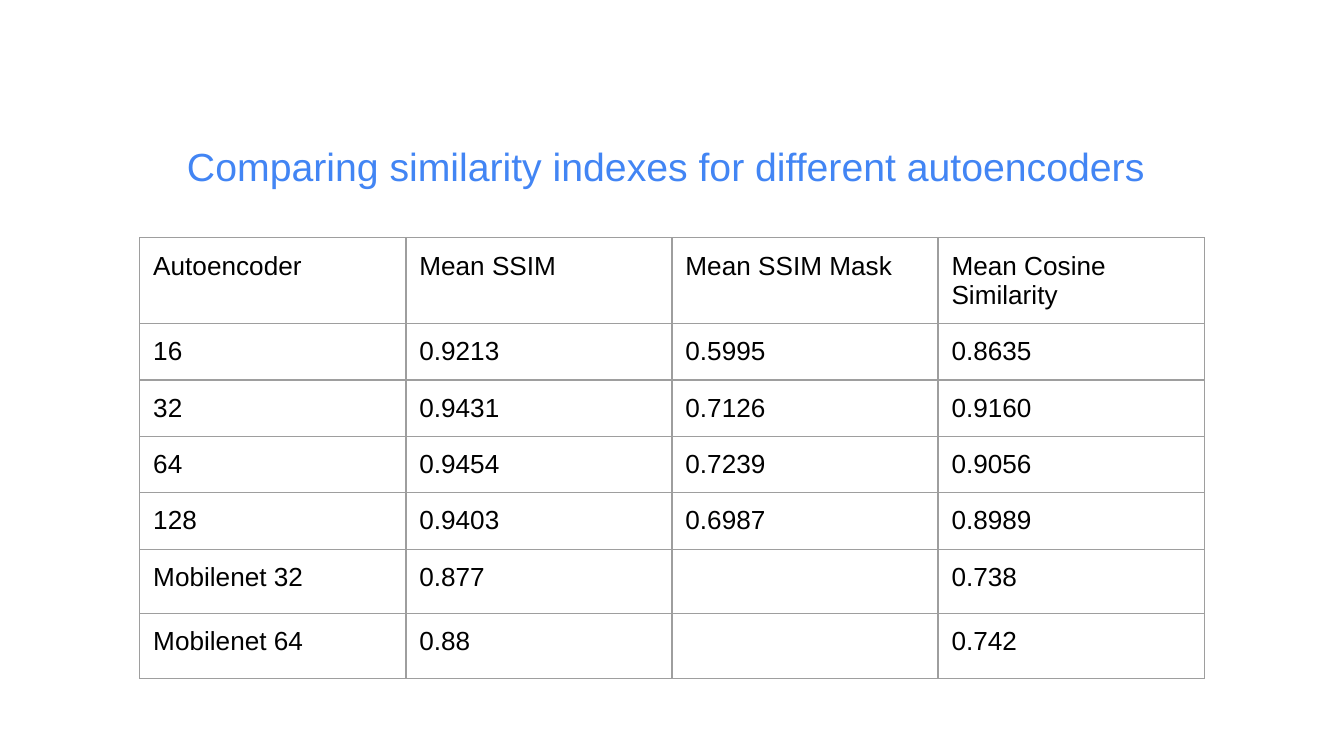
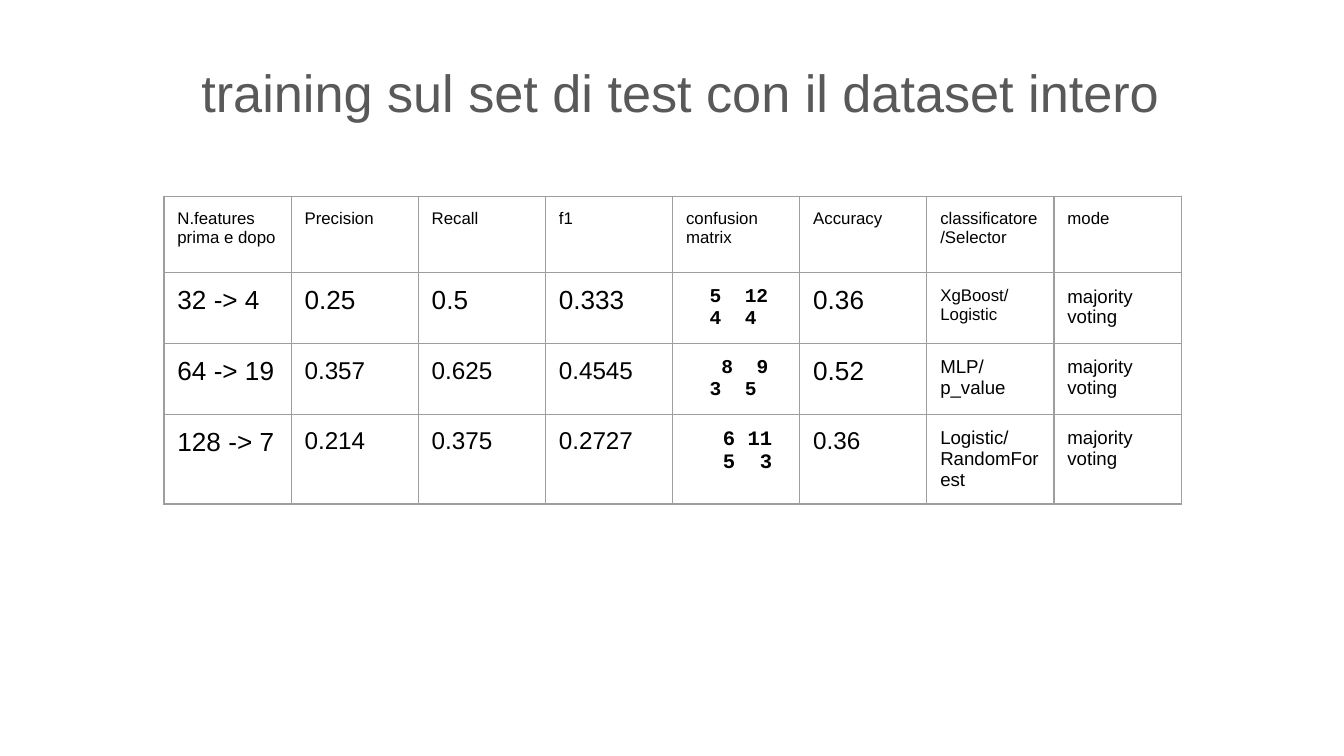
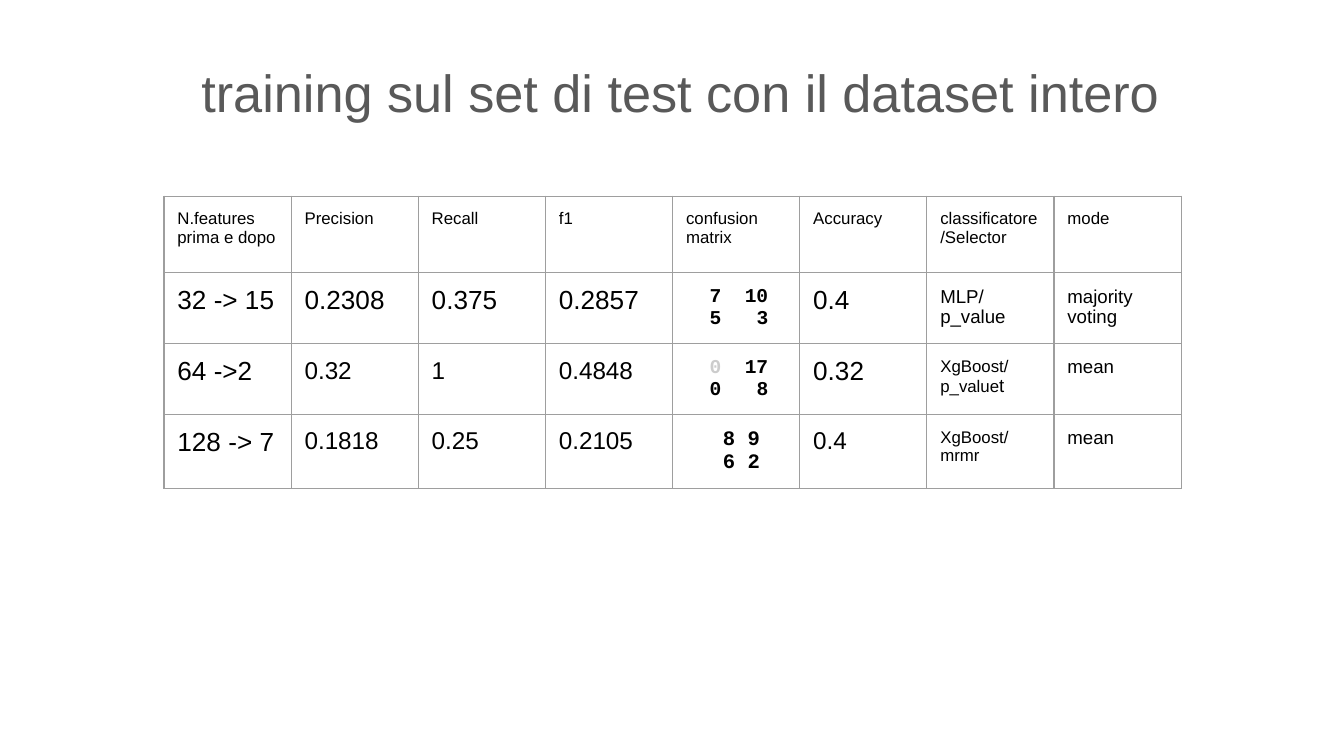
import pptx
import pptx.dml.color
import pptx.enum.text
import pptx.oxml
import pptx.oxml.ns
import pptx.util
from pptx.util import Inches

COLORS = {"blue": "4285F4", "gray": "595959", "pale": "CCCCCC",
          "black": "000000", "border": "9E9E9E"}
SANS, MONO = "Arial", "Courier New"
INSET = Inches(0.1)
MONO_ADVANCE = 0.6  # width of one character, in ems

SIMILARITY_TITLE = "Comparing similarity indexes for different autoencoders"
SIMILARITY_ROWS = [
    ("Autoencoder", "Mean SSIM", "Mean SSIM Mask", "Mean Cosine Similarity"),
    ("16", "0.9213", "0.5995", "0.8635"),
    ("32", "0.9431", "0.7126", "0.9160"),
    ("64", "0.9454", "0.7239", "0.9056"),
    ("128", "0.9403", "0.6987", "0.8989"),
    ("Mobilenet 32", "0.877", "", "0.738"),
    ("Mobilenet 64", "0.88", "", "0.742"),
]

TRAINING_TITLE = "training sul set di test con il dataset intero"
TRAINING_HEADER = ("N.features prima e dopo", "Precision", "Recall", "f1", "confusion matrix",
                   "Accuracy", "classificatore/Selector", "mode")
# Each confusion matrix line lists (character column, number, optional colour).
# A tuple in a cell holds spans: the first in the small size, the rest in the cell's size.
TRAINING_PAGES = [
    [
        ("32 -> 4", "0.25", "0.5", "0.333", [[(2, "5"), (5, "12")], [(2, "4"), (5, "4")]],
         "0.36", ("XgBoost/Logistic",), "majority voting"),
        ("64 -> 19", "0.357", "0.625", "0.4545", [[(3, "8"), (6, "9")], [(2, "3"), (5, "5")]],
         "0.52", "MLP/p_value", "majority voting"),
        ("128 -> 7", "0.214", "0.375", "0.2727", [[(3, "6"), (5, "11")], [(3, "5"), (6, "3")]],
         "0.36", "Logistic/RandomForest", "majority voting"),
    ],
    [
        ("32 -> 15", "0.2308", "0.375", "0.2857", [[(2, "7"), (5, "10")], [(2, "5"), (6, "3")]],
         "0.4", "MLP/p_value", "majority voting"),
        ("64 ->2", "0.32", "1", "0.4848",
         [[(2, "0", "pale"), (5, "17")], [(2, "0"), (6, "8")]],
         "0.32", ("XgBoost/p_value", "t"), "mean"),
        ("128 -> 7", "0.1818", "0.25", "0.2105", [[(3, "8"), (5, "9")], [(3, "6"), (5, "2")]],
         "0.4", ("XgBoost/mrmr",), "mean"),
    ],
]
SMALL = 9
TRAINING_SIZES = [
    (SMALL,) * 8,
    (14, 14, 14, 14, 10.5, 14, 10, 10),
    (14, 13, 13, 13, 10.5, 14, 10, 10),
    (14, 13, 13, 13, 11, 13, 10, 10),
]


def add_span(para, text, size=14, font=SANS, color="black", bold=False):
    span = para.add_run()
    span.text = text
    span.font.size = pptx.util.Pt(size)
    span.font.name = font
    span.font.bold = bold
    span.font.color.rgb = pptx.dml.color.RGBColor.from_string(COLORS[color])


def set_insets(holder):
    holder.margin_left = holder.margin_right = INSET
    holder.margin_top = holder.margin_bottom = INSET


def add_page(deck, title, place, **text_format):
    page = deck.slides.add_slide(deck.slide_layouts[5])
    box = page.shapes.title
    box.left, box.top, box.width, box.height = map(Inches, place)
    frame = box.text_frame
    set_insets(frame)
    frame.word_wrap = True
    frame.auto_size = pptx.enum.text.MSO_AUTO_SIZE.NONE
    frame.vertical_anchor = pptx.enum.text.MSO_ANCHOR.TOP
    para = frame.paragraphs[0]
    para.alignment = pptx.enum.text.PP_ALIGN.CENTER
    add_span(para, title, **text_format)
    return page


def style_cell(cell):
    set_insets(cell)
    properties = cell._tc.get_or_add_tcPr()
    for side in "LRTB":
        properties.append(pptx.oxml.parse_xml(
            f'<a:ln{side} {pptx.oxml.ns.nsdecls("a")} w="{pptx.util.Pt(0.75)}"><a:solidFill>'
            f'<a:srgbClr val="{COLORS["border"]}"/></a:solidFill></a:ln{side}>'))
    cell.fill.background()


def write_matrix(frame, lines, size):
    """Align the numbers of each line on tab stops one character wide."""
    for index, line in enumerate(lines):
        para = frame.add_paragraph() if index else frame.paragraphs[0]
        stops = "".join(
            f'<a:tab pos="{pptx.util.Pt(entry[0] * MONO_ADVANCE * size)}" algn="l"/>'
            for entry in line)
        para._p.get_or_add_pPr().append(pptx.oxml.parse_xml(
            f'<a:tabLst {pptx.oxml.ns.nsdecls("a")}>{stops}</a:tabLst>'))
        for _, number, *color in line:
            add_span(para, "\t" + number, size=size, font=MONO, bold=True,
                     color=color[0] if color else "black")


def write_cell(cell, value, size):
    para = cell.text_frame.paragraphs[0]
    if isinstance(value, list):
        write_matrix(cell.text_frame, value, size)
    elif isinstance(value, tuple):
        for index, text in enumerate(value):
            add_span(para, text, size=size if index else SMALL)
    elif value:
        add_span(para, value, size=size)
    else:
        para._p.append(pptx.oxml.parse_xml(
            f'<a:endParaRPr {pptx.oxml.ns.nsdecls("a")} sz="1800">'
            f'<a:latin typeface="{SANS}"/></a:endParaRPr>'))


def add_grid(page, rows, sizes, left, top, width, row_heights):
    """Add a bordered table; sizes holds one text size per cell."""
    columns = len(rows[0])
    table = page.shapes.add_table(
        len(rows), columns, Inches(left), Inches(top),
        Inches(width), Inches(sum(row_heights))).table
    table.first_row = table.horz_banding = False
    for row, height in zip(table.rows, row_heights):
        row.height = Inches(height)
    for row, values, row_sizes in zip(table.rows, rows, sizes):
        for cell, value, size in zip(row.cells, values, row_sizes):
            style_cell(cell)
            write_cell(cell, value, size)


def main():
    deck = pptx.Presentation()
    deck.slide_width = Inches(10)
    deck.slide_height = deck.slide_width * 9 // 16

    page = add_page(deck, SIMILARITY_TITLE, (1.04, 0.96, 7.83, 1.1), size=21, color="blue")
    add_grid(page, SIMILARITY_ROWS, [(14,) * 4] * 7, 1.04, 1.77, 7.92, [0.42] * 7)

    for rows in TRAINING_PAGES:
        page = add_page(deck, TRAINING_TITLE, (0.4, 0.35, 9.32, 0.87), size=28, color="gray")
        add_grid(page, [TRAINING_HEADER] + rows, TRAINING_SIZES,
                 1.22, 1.46, 7.57, [0.57] + [0.39] * 3)

    deck.save("out.pptx")


if __name__ == "__main__":
    main()
